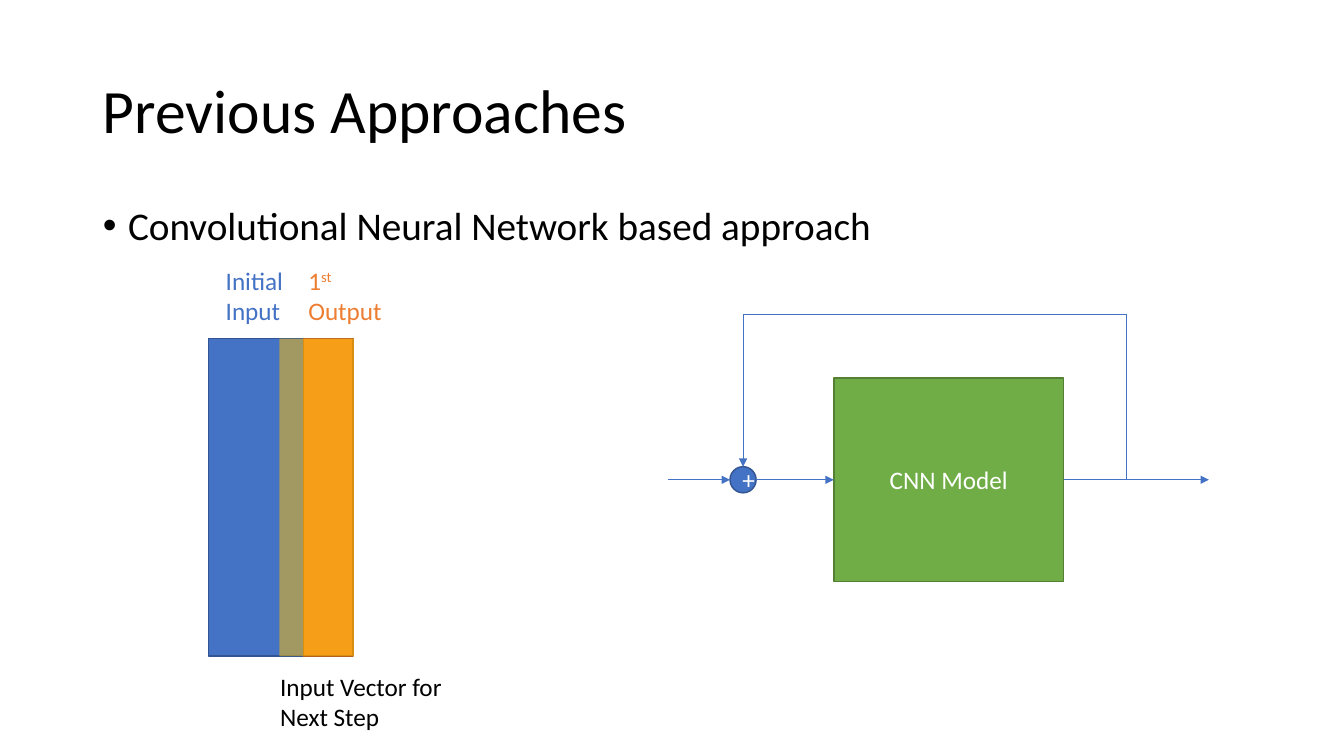
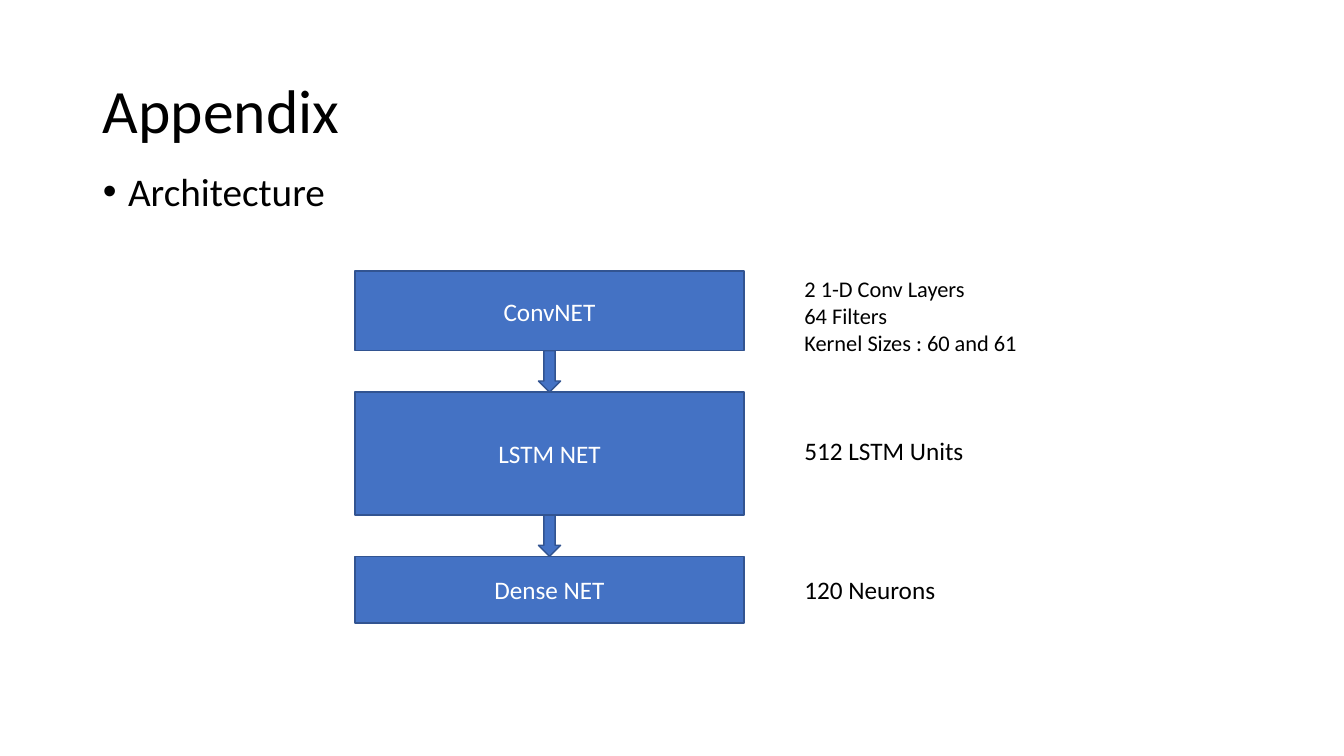
import dataclasses

import lxml.etree
import pptx
import pptx.dml.color
import pptx.enum.shapes
import pptx.enum.text
import pptx.oxml.ns
import pptx.util

Inches = pptx.util.Inches
Pt = pptx.util.Pt
Shapes = pptx.enum.shapes.MSO_SHAPE
Anchor = pptx.enum.text.MSO_ANCHOR
AutoSize = pptx.enum.text.MSO_AUTO_SIZE
Align = pptx.enum.text.PP_ALIGN
qn = pptx.oxml.ns.qn

TOP, LEFT, BOTTOM, RIGHT = range(4)


@dataclasses.dataclass(frozen=True)
class Theme:
    font: str = "Calibri"
    text: str = "000000"
    light: str = "FFFFFF"
    blue: str = "4472C4"
    blue_edge: str = "325491"
    orange: str = "ED7D31"
    orange_edge: str = "AF5C24"
    green: str = "70AD47"
    green_edge: str = "538035"
    gold: str = "FFC000"
    title_size: int = 44
    body_size: int = 28
    label_size: int = 18
    small_size: int = 16
    edge_width: float = 1
    wire_width: float = 0.5


THEME = Theme()


def rgb(color):
    return pptx.dml.color.RGBColor.from_string(color)


def place(shape, left, top, width, height):
    shape.left, shape.top = Inches(left), Inches(top)
    shape.width, shape.height = Inches(width), Inches(height)


def write(box, text, size=THEME.label_size, color=THEME.text, align=Align.LEFT,
          anchor=Anchor.TOP, auto_size=AutoSize.NONE, line_spacing=1.0, before=0):
    """Fill a shape with one paragraph per line; text between carets is raised."""
    frame = box.text_frame
    frame.word_wrap = True
    frame.auto_size = auto_size
    frame.vertical_anchor = anchor
    for index, line in enumerate(text.split("\n")):
        para = frame.add_paragraph() if index else frame.paragraphs[0]
        para.alignment = align
        para.line_spacing = line_spacing
        para.space_before = Pt(before)
        for part, piece in enumerate(line.split("^")):
            span = para.add_run()
            span.text = piece
            span.font.name = THEME.font
            span.font.size = Pt(size)
            span.font.color.rgb = rgb(color)
            if part % 2:
                span.font._element.set("baseline", "30000")


class SlideWriter:
    def __init__(self, deck, theme):
        self.deck = deck
        self.theme = theme
        self.page = None

    def start(self, title, bullet, body_top):
        """Add a slide with its title and bulleted line."""
        self.page = self.deck.slides.add_slide(self.deck.slide_layouts[1])
        heading, body = self.page.placeholders
        place(heading, 0.92, 0.4, 11.5, 1.45)
        write(heading, title, size=self.theme.title_size, anchor=Anchor.MIDDLE,
              line_spacing=0.9)
        place(body, 0.92, body_top, 11.5, 6.76 - body_top)
        write(body, bullet, size=self.theme.body_size, line_spacing=0.9, before=10)
        for para in body.text_frame.paragraphs:
            properties = para._p.get_or_add_pPr()
            properties.set("marL", str(Inches(0.25)))
            properties.set("indent", str(Inches(-0.25)))
            font = lxml.etree.SubElement(properties, qn("a:buFont"))
            font.set("typeface", "Arial")
            lxml.etree.SubElement(properties, qn("a:buChar")).set("char", "•")

    def block(self, kind, left, top, width, height, fill, edge=None, text=None,
              opacity=None):
        shape = self.page.shapes.add_shape(
            kind, Inches(left), Inches(top), Inches(width), Inches(height))
        shape.shadow.inherit = False
        shape.fill.solid()
        shape.fill.fore_color.rgb = rgb(fill)
        if opacity is not None:
            color = shape.fill._xPr.find(".//" + qn("a:srgbClr"))
            alpha = lxml.etree.SubElement(color, qn("a:alpha"))
            alpha.set("val", str(opacity * 1000))
        if edge:
            shape.line.color.rgb = rgb(edge)
            shape.line.width = Pt(self.theme.edge_width)
        else:
            shape.line.fill.background()
        if text:
            write(shape, text, color=self.theme.light, align=Align.CENTER,
                  anchor=Anchor.MIDDLE)
        return shape

    def label(self, text, left, top, width, height, **style):
        box = self.page.shapes.add_textbox(
            Inches(left), Inches(top), Inches(width), Inches(height))
        write(box, text, auto_size=AutoSize.SHAPE_TO_FIT_TEXT, **style)

    def wire(self, start, end, arrow=False, source=None, target=None):
        """Draw a line; source and target are (shape, side) pairs to join."""
        line = self.page.shapes.add_connector(
            pptx.enum.shapes.MSO_CONNECTOR.STRAIGHT,
            *(Inches(value) for value in (*start, *end)))
        if source:
            line.begin_connect(*source)
        if target:
            line.end_connect(*target)
        line.line.color.rgb = rgb(self.theme.blue)
        line.line.width = Pt(self.theme.wire_width)
        if arrow:
            tail = lxml.etree.SubElement(line.line._get_or_add_ln(), qn("a:tailEnd"))
            tail.set("type", "triangle")
        lxml.etree.SubElement(line._element.spPr, qn("a:effectLst"))


def build_previous_approaches(writer):
    theme = writer.theme
    writer.start("Previous Approaches", "Convolutional Neural Network based approach", 2)

    bar_top, bar_height = 3.36, 3.15
    writer.block(Shapes.RECTANGLE, 2.07, bar_top, 0.94, bar_height,
                 theme.blue, theme.blue_edge)
    writer.block(Shapes.RECTANGLE, 3.01, bar_top, 0.49, bar_height,
                 theme.orange, theme.orange_edge)
    writer.block(Shapes.RECTANGLE, 2.77, bar_top, 0.74, bar_height,
                 theme.gold, opacity=50)
    writer.label("Initial Input", 2.14, 2.58, 1.08, 0.71, color=theme.blue)
    writer.label("1^st^ Output", 2.96, 2.58, 0.99, 0.71, color=theme.orange)
    writer.label("Input Vector for Next Step", 2.68, 6.61, 1.92, 0.71)

    flow_y, loop_y = 4.76, 3.12
    adder_left, adder_size = 7.24, 0.26
    adder_x = adder_left + adder_size / 2
    model_left, model_width, model_height = 8.27, 2.28, 2.02
    branch_x = 11.17
    model = writer.block(Shapes.RECTANGLE, model_left, flow_y - model_height / 2,
                         model_width, model_height, theme.green, theme.green_edge,
                         "CNN Model")
    adder = writer.block(Shapes.OVAL, adder_left, flow_y - adder_size / 2,
                         adder_size, adder_size, theme.blue, theme.blue_edge, "+")

    branch = (branch_x, flow_y)
    corners = (branch_x, loop_y), (adder_x, loop_y)
    writer.wire((6.63, flow_y), (adder_left, flow_y), arrow=True)
    writer.wire((adder_left + adder_size, flow_y), (model_left, flow_y), arrow=True,
                target=(model, LEFT))
    writer.wire((model_left + model_width, flow_y), branch, source=(model, RIGHT))
    writer.wire(branch, corners[0])
    writer.wire(*corners)
    writer.wire(corners[1], (adder_x, flow_y - adder_size / 2), arrow=True,
                target=(adder, TOP))
    writer.wire(branch, (11.99, flow_y), arrow=True)


def build_appendix(writer):
    theme = writer.theme
    writer.start("Appendix", "Architecture", 1.66)

    left, width, gap, arrow_width = 3.52, 3.86, 0.41, 0.22
    layers = [
        ("ConvNET", 0.79, "2 1-D Conv Layers\n64 Filters\nKernel Sizes : 60 and 61",
         2.68, 0.94, theme.small_size),
        ("LSTM NET", 1.22, "512 LSTM Units", 4.27, 0.4, theme.label_size),
        ("Dense NET", 0.66, "120 Neurons", 5.65, 0.4, theme.label_size),
    ]
    top = 2.69
    for index, (name, height, note, note_top, note_height, size) in enumerate(layers):
        if index:
            writer.block(Shapes.DOWN_ARROW, left + (width - arrow_width) / 2, top,
                         arrow_width, gap, theme.blue, theme.blue_edge)
            top += gap
        writer.block(Shapes.RECTANGLE, left, top, width, height,
                     theme.blue, theme.blue_edge, name)
        writer.label(note, 7.88, note_top, 3.32, note_height, size=size)
        top += height


def main():
    deck = pptx.Presentation()
    deck.slide_width, deck.slide_height = Inches(13.33), Inches(7.5)
    writer = SlideWriter(deck, THEME)
    build_previous_approaches(writer)
    build_appendix(writer)
    deck.save("out.pptx")


if __name__ == "__main__":
    main()
